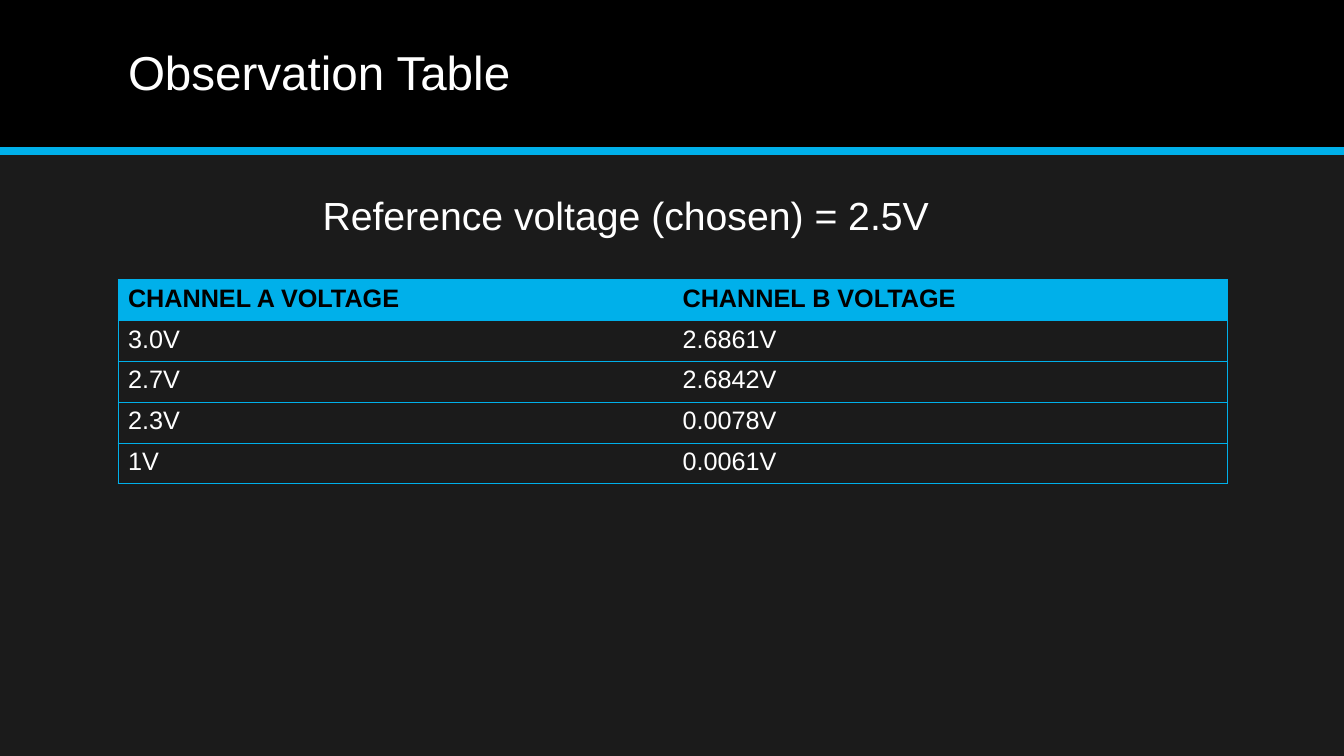
from lxml.etree import SubElement
from pptx import Presentation
from pptx.dml.color import RGBColor
from pptx.enum.shapes import MSO_CONNECTOR, MSO_SHAPE
from pptx.enum.text import MSO_ANCHOR, MSO_AUTO_SIZE, PP_ALIGN
from pptx.oxml.ns import qn
from pptx.util import Inches, Pt

BLACK = RGBColor(0x00, 0x00, 0x00)
CHARCOAL = RGBColor(0x1B, 0x1B, 0x1B)
CYAN = RGBColor(0x00, 0xB0, 0xEA)
WHITE = RGBColor(0xFF, 0xFF, 0xFF)

READINGS = [
    ("CHANNEL A VOLTAGE", "CHANNEL B VOLTAGE"),
    ("3.0V", "2.6861V"),
    ("2.7V", "2.6842V"),
    ("2.3V", "0.0078V"),
    ("1V", "0.0061V"),
]


def write(frame, text, size, color, bold=False):
    frame.text = text
    para = frame.paragraphs[0]
    for name, value in {"name": "Arial", "size": Pt(size), "bold": bold}.items():
        setattr(para.font, name, value)
    para.font.color.rgb = color
    return para


def set_border(cell, side, color):
    """Draw one edge of a cell, or hide it when color is None."""
    edge = SubElement(cell._tc.get_or_add_tcPr(), qn(f"a:ln{side}"), w=str(Pt(0.5)))
    if color is None:
        SubElement(edge, qn("a:noFill"))
    else:
        fill = SubElement(edge, qn("a:solidFill"))
        SubElement(fill, qn("a:srgbClr"), val=str(color))


deck = Presentation()
deck.slide_width = Inches(13.33)
deck.slide_height = Inches(7.5)
page = deck.slides.add_slide(deck.slide_layouts[5])
page.background.fill.solid()
page.background.fill.fore_color.rgb = CHARCOAL

# Title band, with the title in front of it
title = page.shapes.title
band = page.shapes.add_shape(MSO_SHAPE.RECTANGLE, 0, 0, deck.slide_width, Inches(1.5))
band.shadow.inherit = False
band.fill.solid()
band.fill.fore_color.rgb = BLACK
band.line.fill.background()

rule = page.shapes.add_connector(
    MSO_CONNECTOR.STRAIGHT, 0, Inches(1.5), deck.slide_width, Inches(1.5))
rule.line.color.rgb = CYAN
rule.line.width = Pt(6)
SubElement(rule.element.spPr, qn("a:effectLst"))

for backdrop in (band, rule):
    title.element.addprevious(backdrop.element)

title.left, title.top = Inches(1.17), Inches(0.14)
title.width, title.height = Inches(11), Inches(1.2)
title.text_frame.vertical_anchor = MSO_ANCHOR.MIDDLE
heading = write(title.text_frame, "Observation Table", 34, WHITE)
heading.alignment = PP_ALIGN.LEFT
heading.line_spacing = 0.9

# Voltage readings
table = page.shapes.add_table(
    len(READINGS), 2, Inches(1.17), Inches(2.77), Inches(11), Inches(2.03)).table
for row_index, reading in enumerate(READINGS):
    is_header = row_index == 0
    for column_index, text in enumerate(reading):
        cell = table.cell(row_index, column_index)
        write(cell.text_frame, text, 18, BLACK if is_header else WHITE, is_header)
        is_left = column_index == 0
        set_border(cell, "L", CYAN if is_left else None)
        set_border(cell, "R", None if is_left else CYAN)
        set_border(cell, "T", CYAN)
        set_border(cell, "B", CYAN)
        if is_header:
            cell.fill.solid()
            cell.fill.fore_color.rgb = CYAN
        else:
            cell.fill.background()

# Reference voltage
box = page.shapes.add_textbox(Inches(2.72), Inches(1.85), Inches(6.97), Inches(0.57))
box.text_frame.word_wrap = True
box.text_frame.auto_size = MSO_AUTO_SIZE.SHAPE_TO_FIT_TEXT
reference = write(box.text_frame, "Reference voltage (chosen) = 2.5V", 28, WHITE)
reference.alignment = PP_ALIGN.CENTER

deck.save("out.pptx")
